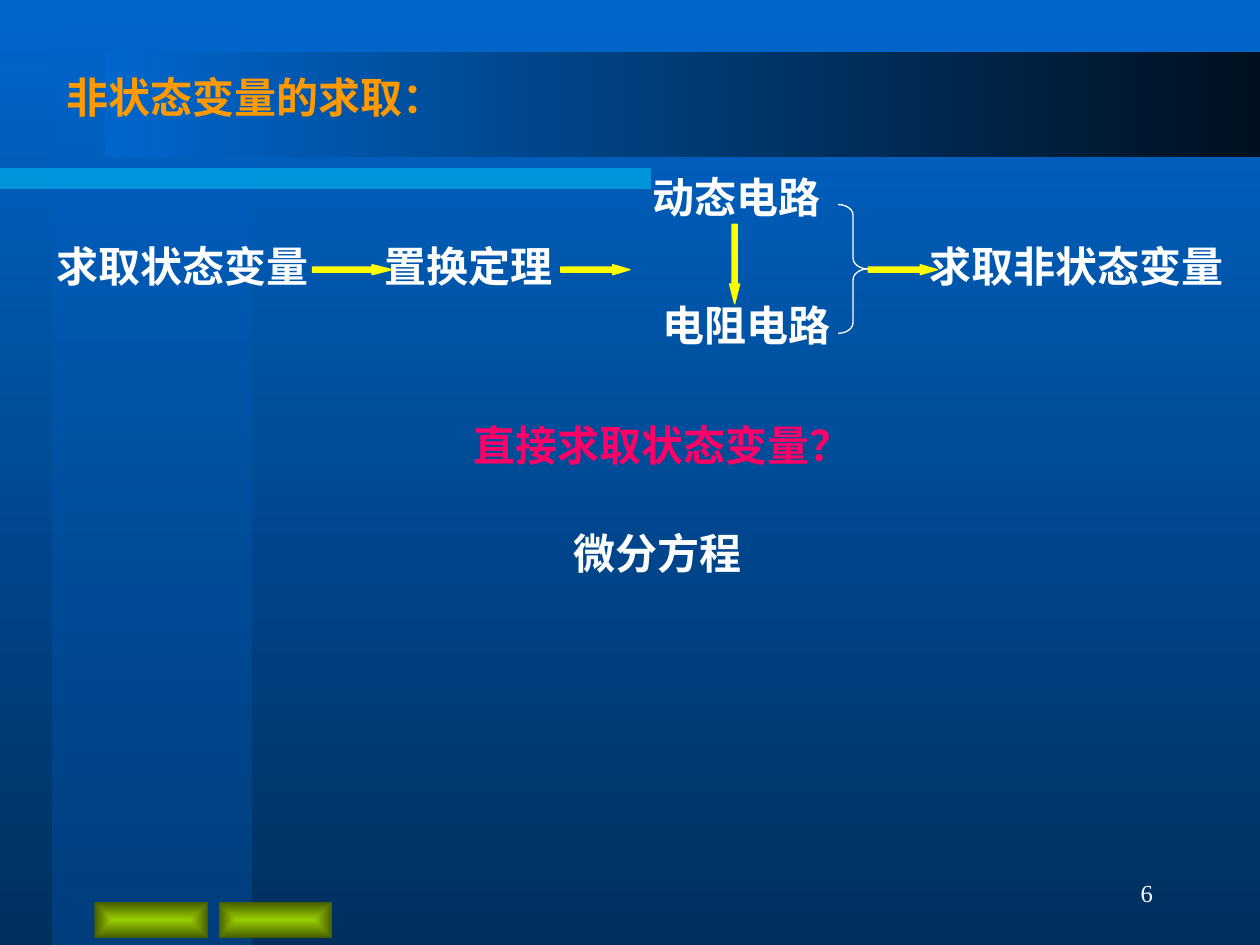
"""Build the slide on finding non-state variables of a circuit."""
from lxml import etree
from pptx import Presentation
from pptx import util as u
from pptx.dml.color import RGBColor
from pptx.enum import shapes, text
from pptx.oxml import ns

THEME = {
    "white": "FFFFFF", "title": "FF9900", "question": "FF0066", "arrow": "FFFF00",
    "bar": "00CCFF", "background": ("0066CC", "002F5E"), "column": ("0066CC", "003F7E"),
    "banner": ("0066CC", "00101F"), "button": ("99CC00", "475E00"),
    "font": "Cabin", "number_font": "Times New Roman",
    "body_size": 24, "number_size": 14, "space_before": 15, "line": 0.75,
}
DOWNWARD, RIGHTWARD = 270, 0
TEXT_HEIGHT, ARROW_WIDTH = 36, 5.76
FLOW_TOP, FLOW_AXIS = 134, 154.1

TITLE = ("非状态变量的求取：", (31, 37.4, 244, TEXT_HEIGHT))
LABELS = [
    ("求取状态变量", 25.4, FLOW_TOP, 170, "white"),
    ("置换定理", 212.5, FLOW_TOP, 119, "white"),
    ("电阻电路", 371.7, 167.6, 130, "white"),
    ("动态电路", 365.7, 94.3, 130, "white"),
    ("求取非状态变量", 524.2, FLOW_TOP, 196, "white"),
    ("直接求取状态变量？", 263.5, 236.2, 374, "question"),
    ("微分方程", 320.4, 298.1, 170, "white"),
]
FLOW_ARROWS = [(178.6, 45.4), (320.4, 39.6), (496.1, 39.6)]
DOWN_ARROW = (419.8, 128.2, 45.4)
BRACE = (479, 116.9, 17, 73.6)
BUTTON_LEFTS = [54, 124.9]


def add_block(slide, preset, box, fill=None, line=None, adjustments=()):
    shape = slide.shapes.add_shape(preset, *map(u.Pt, box))
    shape.shadow.inherit = False
    for index, value in enumerate(adjustments):
        shape.adjustments[index] = value
    if fill:
        shape.fill.solid()
        shape.fill.fore_color.rgb = RGBColor.from_string(fill)
    else:
        shape.fill.background()
    if line:
        shape.line.color.rgb = RGBColor.from_string(line)
        shape.line.width = u.Pt(THEME["line"])
    else:
        shape.line.fill.background()
    return shape


def set_gradient(fill, colours, angle):
    fill.gradient()
    fill.gradient_angle = angle
    for stop, colour, position in zip(fill.gradient_stops, colours, (0, 1)):
        stop.color.rgb = RGBColor.from_string(colour)
        stop.position = position


def make_half_transparent(shape):
    colour = next(shape.element.iter(ns.qn("a:srgbClr")))
    etree.SubElement(colour, ns.qn("a:alpha"), val="50000")


def radiate_from_centre(shape):
    linear = next(shape.element.iter(ns.qn("a:lin")))
    radial = etree.Element(ns.qn("a:path"), {"path": "rect"})
    etree.SubElement(radial, ns.qn("a:fillToRect"), dict.fromkeys("ltrb", "50000"))
    linear.getparent().replace(linear, radial)


def write_text(shape, content, box, *, colour, size=THEME["body_size"], font=THEME["font"],
               bold=True, align=text.PP_ALIGN.LEFT, anchor=text.MSO_ANCHOR.TOP,
               before=THEME["space_before"]):
    shape.left, shape.top, shape.width, shape.height = map(u.Pt, box)
    frame = shape.text_frame
    frame.word_wrap = True
    frame.auto_size = text.MSO_AUTO_SIZE.NONE
    frame.vertical_anchor = anchor
    paragraph = frame.paragraphs[0]
    paragraph.alignment = align
    paragraph.space_before = u.Pt(before)
    run = paragraph.add_run()
    run.text = content
    run.font.name, run.font.size, run.font.bold = font, u.Pt(size), bold
    run.font.color.rgb = RGBColor.from_string(THEME[colour])


def add_decoration(slide):
    rectangle = shapes.MSO_SHAPE.RECTANGLE
    set_gradient(slide.background.fill, THEME["background"], DOWNWARD)
    column = add_block(slide, rectangle, (30, 0, 114, 540))
    set_gradient(column.fill, THEME["column"], DOWNWARD)
    make_half_transparent(column)
    bar = add_block(slide, rectangle, (0, 96, 372, 12), THEME["bar"])
    make_half_transparent(bar)
    banner = add_block(slide, rectangle, (60, 30, 660, 60))
    set_gradient(banner.fill, THEME["banner"], RIGHTWARD)
    for left in BUTTON_LEFTS:
        button = add_block(slide, rectangle, (left, 515.5, 64.8, 20.4))
        set_gradient(button.fill, THEME["button"], RIGHTWARD)
        radiate_from_centre(button)


def add_arrow(slide, preset, box):
    head_ratio = max(box[2:]) / ARROW_WIDTH / 4
    add_block(slide, preset, box, THEME["arrow"], THEME["arrow"], (0.5, head_ratio))


def add_flow(slide):
    for left, length in FLOW_ARROWS:
        add_arrow(slide, shapes.MSO_SHAPE.RIGHT_ARROW,
                  (left, FLOW_AXIS - ARROW_WIDTH / 2, length, ARROW_WIDTH))
    left, top, length = DOWN_ARROW
    add_arrow(slide, shapes.MSO_SHAPE.DOWN_ARROW,
              (left - ARROW_WIDTH / 2, top, ARROW_WIDTH, length))
    add_block(slide, shapes.MSO_SHAPE.RIGHT_BRACE, BRACE, line=THEME["white"],
              adjustments=(0.36, 0.5))


def main():
    presentation = Presentation()
    presentation.slide_width, presentation.slide_height = u.Pt(720), u.Pt(540)
    slide = presentation.slides.add_slide(presentation.slide_layouts[5])
    add_decoration(slide)
    title = slide.shapes.title
    slide.shapes.element.append(title.element)
    write_text(title, *TITLE, colour="title")
    for content, left, top, width, colour in LABELS:
        label = slide.shapes.add_textbox(0, 0, 0, 0)
        write_text(label, content, (left, top, width, TEXT_HEIGHT), colour=colour)
    add_flow(slide)
    number = slide.shapes.add_textbox(0, 0, 0, 0)
    write_text(number, "6", (516, 492, 150, TEXT_HEIGHT), colour="white",
               size=THEME["number_size"], font=THEME["number_font"], bold=False,
               align=text.PP_ALIGN.RIGHT, anchor=text.MSO_ANCHOR.MIDDLE, before=0)
    presentation.save("out.pptx")


if __name__ == "__main__":
    main()
